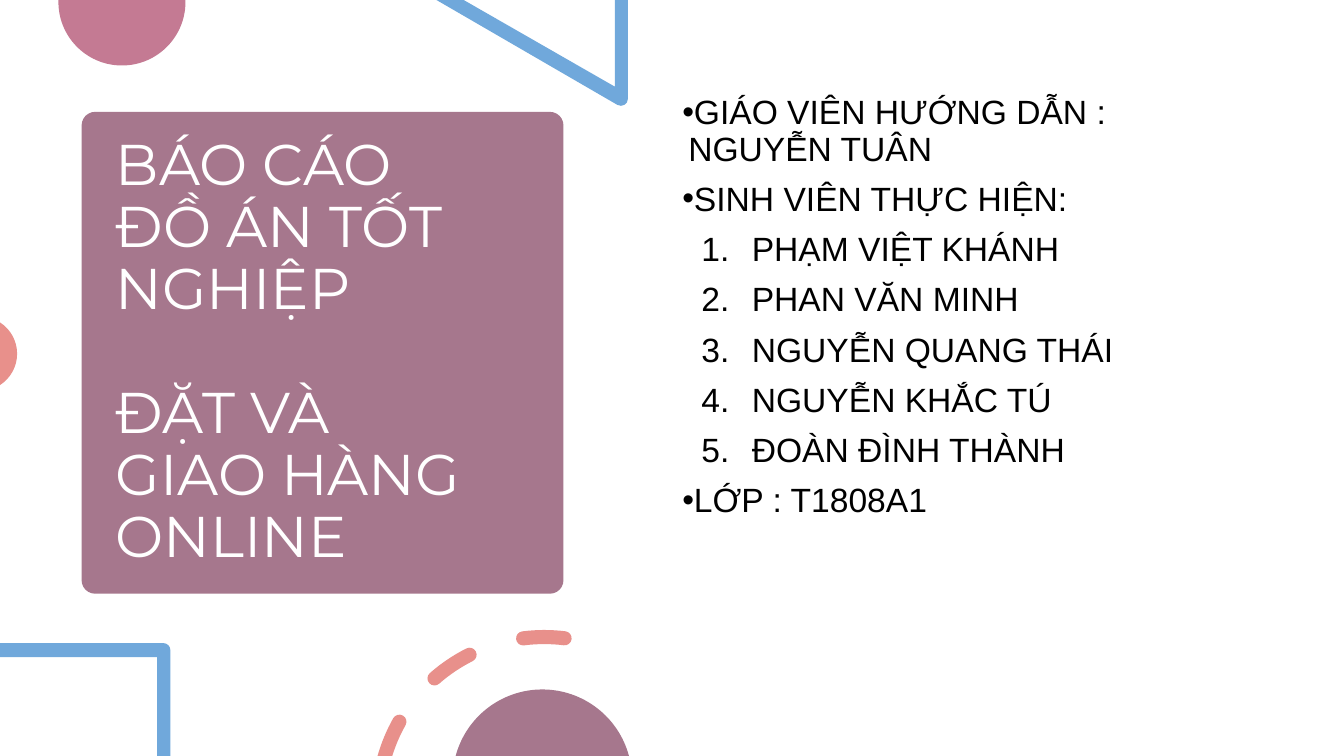
import math

import lxml.etree
import pptx
import pptx.dml.color
import pptx.enum.shapes
import pptx.enum.text
import pptx.oxml.ns
import pptx.util

Inches = pptx.util.Inches
Pt = pptx.util.Pt
qn = pptx.oxml.ns.qn

MAUVE = "A6778D"
ROSE = "C47A93"
BLUE = "70A8DB"
CORAL = "E8908B"
WHITE = "FFFFFF"
BLACK = "000000"

TITLE = ["BÁO CÁO ĐỒ ÁN TỐT NGHIỆP", "ĐẶT VÀ GIAO HÀNG ONLINE"]
STUDENTS = ["PHẠM VIỆT KHÁNH", "PHAN VĂN MINH", "NGUYỄN QUANG THÁI",
            "NGUYỄN KHẮC TÚ", "ĐOÀN ĐÌNH THÀNH"]
DETAILS = [
    ("GIÁO VIÊN HƯỚNG DẪN : NGUYỄN TUÂN", "bullet"),
    ("SINH VIÊN THỰC HIỆN:", "bullet"),
    *[(student, "number") for student in STUDENTS],
    ("LỚP : T1808A1", "bullet"),
]
# Left margin and first-line indent in inches, marker element, its attributes
MARKERS = {
    "bullet": (0.06, -0.25, "a:buChar", {"char": "•"}),
    "number": (0.69, -0.5, "a:buAutoNum", {"type": "arabicPeriod"}),
}


def rgb(value):
    return pptx.dml.color.RGBColor.from_string(value)


def paint(shape, color):
    shape.shadow.inherit = False
    shape.fill.solid()
    shape.fill.fore_color.rgb = rgb(color)
    shape.line.fill.background()


def lines(*points):
    """Straight segments, one end point each."""
    return [[point] for point in points]


def arc(x, y, radius, *angles):
    """Start point, then a Bezier segment from each angle to the next.

    Degrees run clockwise from the right.
    """
    def on_circle(angle, tangent=0):
        cosine, sine = math.cos(angle), math.sin(angle)
        return (x + radius * (cosine - tangent * sine),
                y + radius * (sine + tangent * cosine))

    radians = [math.radians(angle) for angle in angles]
    segments = [[on_circle(radians[0])]]
    for start, end in zip(radians, radians[1:]):
        handle = 4 / 3 * math.tan((end - start) / 4)
        segments.append([on_circle(start, handle), on_circle(end, -handle),
                         on_circle(end)])
    return segments


def dashed_ring(x, y, radius):
    """Contours of three arc strokes, the first cut by the slide's bottom."""
    half = 0.07
    outer, inner = radius + half, radius - half

    def cap(angle, turn):
        center = arc(x, y, radius, angle)[0][0]
        return arc(*center, half, turn, turn + 90, turn + 180)[1:]

    cut = arc(x, y, outer, 195.9, 209.4) + cap(209.4, 209.4)
    cut += arc(x, y, inner, 209.4, 197.3)[1:]
    contours = [cut]
    for start, end in ((228.7, 243.3), (262.7, 277)):
        contours.append(arc(x, y, outer, start, end) + cap(end, end)
                        + arc(x, y, inner, end, start)[1:]
                        + cap(start, start + 180))
    return contours


def add_outline(slide, color, *contours):
    """Freeform whose three-point segments become Bezier curves."""
    builder = None
    for contour in contours:
        points = [(Inches(x), Inches(y))
                  for segment in contour for x, y in segment]
        if builder is None:
            builder = slide.shapes.build_freeform(*points[0])
        else:
            builder.move_to(*points[0])
        builder.add_line_segments(points[1:], close=True)
    shape = builder.convert_to_shape()
    paint(shape, color)

    outline = shape._element.find(".//" + qn("a:path"))
    nodes = iter([node for node in outline if node.tag != qn("a:close")])
    for contour in contours:
        for segment in contour:
            group = [next(nodes) for _ in segment]
            if len(group) == 3:
                curve = lxml.etree.Element(qn("a:cubicBezTo"))
                group[0].addprevious(curve)
                for node in group:
                    curve.append(node[0])
                    outline.remove(node)


def add_panel(slide):
    panel = slide.shapes.add_shape(
        pptx.enum.shapes.MSO_SHAPE.ROUNDED_RECTANGLE,
        Inches(0.81), Inches(1.11), Inches(4.78), Inches(4.78))
    panel.adjustments[0] = 0.028
    paint(panel, MAUVE)


def add_text_frame(slide, left, top, width, height, frame_format):
    box = slide.shapes.add_textbox(
        Inches(left), Inches(top), Inches(width), Inches(height))
    box.text_frame.word_wrap = True
    for name, value in frame_format.items():
        setattr(box.text_frame, name, value)
    return box.text_frame


def add_paragraph(frame, text, font_format, space_before):
    paragraph = frame.paragraphs[0]
    if paragraph.runs:
        paragraph = frame.add_paragraph()
    paragraph.line_spacing = 0.9
    paragraph.space_before = Pt(space_before)
    run = paragraph.add_run()
    run.text = text
    for name, value in font_format.items():
        if name == "color":
            run.font.color.rgb = rgb(value)
        else:
            setattr(run.font, name, value)
    return paragraph


def add_marker(paragraph, kind):
    margin, indent, tag, attributes = MARKERS[kind]
    properties = paragraph._p.get_or_add_pPr()
    properties.set("marL", str(Inches(margin)))
    properties.set("indent", str(Inches(indent)))
    lxml.etree.SubElement(properties, qn("a:buFont"), typeface="Arial")
    lxml.etree.SubElement(properties, qn(tag), attributes)


def add_title(slide):
    frame = add_text_frame(slide, 1.05, 1.22, 4.31, 4.56, {
        "vertical_anchor": pptx.enum.text.MSO_ANCHOR.MIDDLE,
        "margin_right": Inches(0.65)})
    font_format = {"name": "Montserrat", "size": Pt(41), "color": WHITE}
    for text, space_before in zip(TITLE, (0, 44.5)):
        add_paragraph(frame, text, font_format, space_before)


def add_details(slide):
    frame = add_text_frame(slide, 6.67, 0.9, 5.75, 5.35, {
        "vertical_anchor": pptx.enum.text.MSO_ANCHOR.TOP})
    font_format = {"name": "Arial", "size": Pt(24), "color": BLACK}
    for text, kind in DETAILS:
        add_marker(add_paragraph(frame, text, font_format, 10), kind)


def add_decorations(slide):
    triangle = lines((6.23, 0), (6.1, 0), (6.1, 0.86), (4.6, 0), (4.33, 0))
    triangle += arc(6.16, 0.98, 0.07, 120, 0)
    corner = lines((0, 6.52), (0, 6.38)) + arc(1.62, 6.45, 0.07, 270, 360)
    corner += lines((1.69, 7.5), (1.56, 7.5), (1.56, 6.52))
    add_outline(slide, ROSE, arc(1.21, 0.02, 0.63, -2, 90, 182))
    add_outline(slide, BLUE, triangle)
    add_outline(slide, CORAL, arc(-0.2, 3.51, 0.37, -57, 0, 57))
    add_outline(slide, BLUE, corner)
    add_outline(slide, CORAL, *dashed_ring(5.4, 7.97, 1.65))
    add_outline(slide, MAUVE, arc(5.38, 7.73, 0.89, 195, 270, 345))


def main():
    presentation = pptx.Presentation()
    presentation.slide_width = Inches(40 / 3)
    presentation.slide_height = Inches(7.5)
    slide = presentation.slides.add_slide(presentation.slide_layouts[6])
    add_panel(slide)
    add_title(slide)
    add_decorations(slide)
    add_details(slide)
    presentation.save("out.pptx")


if __name__ == "__main__":
    main()
